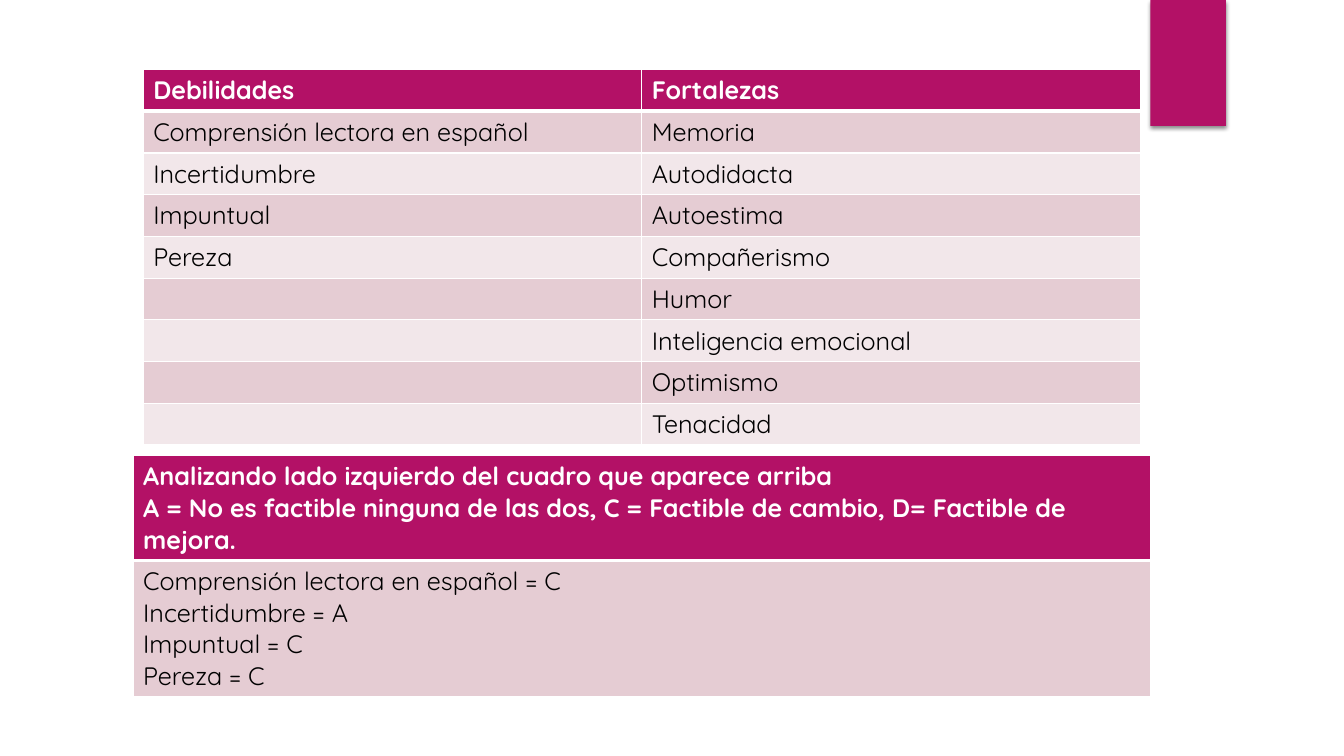
from dataclasses import dataclass

from lxml import etree
from pptx import Presentation
from pptx import util as u
from pptx.dml import color
from pptx.enum import shapes
from pptx.oxml import ns

MAGENTA = "B31166"
BANDS = ("E5CCD3", "F2E7EA")
WHITE = "FFFFFF"
BLACK = "000000"
FONT = "Quicksand"


@dataclass
class TableBlock:
    left: float
    top: float
    column_width: float
    row_heights: list[float]
    rows: list[tuple[str, ...]]


WEAKNESSES = ["Comprensión lectora en español", "Incertidumbre", "Impuntual", "Pereza"]
STRENGTHS = [
    "Memoria", "Autodidacta", "Autoestima", "Compañerismo",
    "Humor", "Inteligencia emocional", "Optimismo", "Tenacidad",
]
GRADES = ["C", "A", "C", "C"]

padded_weaknesses = WEAKNESSES + [""] * (len(STRENGTHS) - len(WEAKNESSES))
comparison_rows = [("Debilidades", "Fortalezas"), *zip(padded_weaknesses, STRENGTHS)]
analysis_heading = (
    "Analizando lado izquierdo del cuadro que aparece arriba\n"
    "A = No es factible ninguna de las dos, C = Factible de cambio, D= Factible de mejora."
)
analysis_result = "\n".join(f"{name} = {grade}" for name, grade in zip(WEAKNESSES, GRADES))

TABLES = [
    TableBlock(1.42, 0.69, 4.945, [0.413] * len(comparison_rows), comparison_rows),
    TableBlock(1.32, 4.52, 10.09, [1.03, 1.35], [(analysis_heading,), (analysis_result,)]),
]


def rgb(value: str) -> color.RGBColor:
    return color.RGBColor.from_string(value)


def write_text(frame, content: str, *, size: float = 18, fill: str = BLACK, bold: bool = False) -> None:
    for index, line in enumerate(content.split("\n")):
        paragraph = frame.paragraphs[0] if index == 0 else frame.add_paragraph()
        target = paragraph.add_run() if line else paragraph
        if line:
            target.text = line
        target.font.name = FONT
        target.font.size = u.Pt(size)
        target.font.bold = bold
        target.font.color.rgb = rgb(fill)


def set_borders(cell, widths: dict[str, float]) -> None:
    properties = cell._tc.get_or_add_tcPr()
    for position, side in enumerate("LRTB"):
        line = etree.Element(ns.qn(f"a:ln{side}"), w=str(u.Pt(widths.get(side, 1))))
        solid = etree.SubElement(line, ns.qn("a:solidFill"))
        etree.SubElement(solid, ns.qn("a:srgbClr"), val=WHITE)
        properties.insert(position, line)


def draw_table(slide, block: TableBlock) -> None:
    column_count = len(block.rows[0])
    table = slide.shapes.add_table(
        len(block.rows), column_count,
        u.Inches(block.left), u.Inches(block.top),
        u.Inches(block.column_width * column_count), u.Inches(sum(block.row_heights)),
    ).table
    for column in table.columns:
        column.width = u.Inches(block.column_width)
    for row_index, values in enumerate(block.rows):
        table.rows[row_index].height = u.Inches(block.row_heights[row_index])
        is_header = row_index == 0
        for column_index, value in enumerate(values):
            cell = table.cell(row_index, column_index)
            cell.fill.solid()
            cell.fill.fore_color.rgb = rgb(MAGENTA if is_header else BANDS[(row_index - 1) % 2])
            set_borders(cell, {0: {"B": 3}, 1: {"T": 3}}.get(row_index, {}))
            write_text(cell.text_frame, value, fill=WHITE if is_header else BLACK, bold=is_header)


def draw_corner_tab(slide) -> None:
    tab = slide.shapes.add_shape(
        shapes.MSO_SHAPE.RECTANGLE, u.Inches(11.41), 0, u.Inches(0.75), u.Inches(1.25)
    )
    tab.fill.solid()
    tab.fill.fore_color.rgb = rgb(MAGENTA)
    tab.line.fill.background()
    tab.shadow.inherit = False
    effects = tab._element.spPr.find(ns.qn("a:effectLst"))
    shadow = etree.SubElement(
        effects, ns.qn("a:outerShdw"),
        blurRad=str(u.Pt(3)), dist=str(u.Pt(2)), dir="5400000", rotWithShape="0",
    )
    shade = etree.SubElement(shadow, ns.qn("a:srgbClr"), val=BLACK)
    etree.SubElement(shade, ns.qn("a:alpha"), val="45000")


def main() -> None:
    presentation = Presentation()
    presentation.slide_width = u.Inches(13.33)
    presentation.slide_height = u.Inches(7.5)
    slide = presentation.slides.add_slide(presentation.slide_layouts[6])
    draw_corner_tab(slide)
    for block in TABLES:
        draw_table(slide, block)
    presentation.save("out.pptx")


if __name__ == "__main__":
    main()
